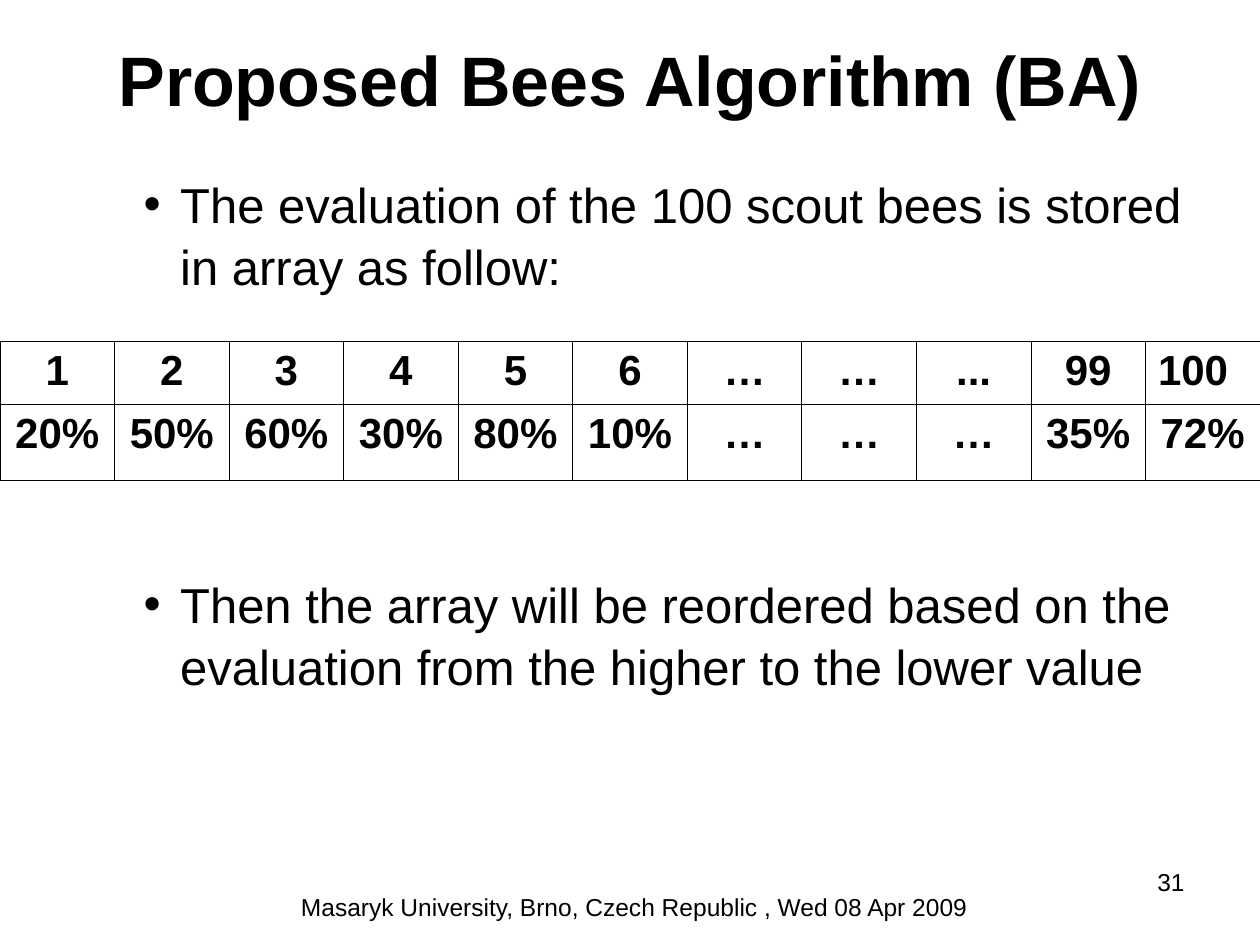
import pptx
import pptx.util
import pptx.dml.color
import pptx.enum.text
import pptx.oxml
import pptx.oxml.ns
from pptx.util import Inches, Pt

ALIGN = pptx.enum.text.PP_ALIGN
ANCHOR = pptx.enum.text.MSO_ANCHOR
NS = pptx.oxml.ns.nsdecls("a")


def color(value):
    return pptx.dml.color.RGBColor.from_string(value)


def style(p, size, align=ALIGN.LEFT, bold=False):
    p.alignment = align
    for r in p.runs:
        r.font.name = "Arial"
        r.font.size = Pt(size)
        r.font.bold = bold
        r.font.color.rgb = color("000000")


prs = pptx.Presentation()
prs.slide_width, prs.slide_height = Inches(10), Inches(7.5)
s = prs.slides.add_slide(prs.slide_layouts[1])

# Title
title = s.shapes.title
title.left, title.top, title.width, title.height = Inches(0), Inches(0), Inches(10), Inches(1.25)
tf = title.text_frame
tf.text = "Proposed Bees Algorithm (BA)"
tf.auto_size = pptx.enum.text.MSO_AUTO_SIZE.NONE
tf.vertical_anchor = ANCHOR.MIDDLE
style(tf.paragraphs[0], 40, ALIGN.CENTER, True)

# Bullets above and below the table
body = s.placeholders[1]
body.left, body.top, body.width, body.height = Inches(0.35), Inches(1.31), Inches(9.21), Inches(5.51)
tf = body.text_frame
tf.auto_size = pptx.enum.text.MSO_AUTO_SIZE.NONE
tf.vertical_anchor = ANCHOR.TOP
bullets = [
    ("The evaluation of the 100 scout bees is stored in array as follow:", 0),
    ("Then the array will be reordered based on the evaluation from the higher to the lower value", 155),
]
for i, (text, gap) in enumerate(bullets):
    p = tf.paragraphs[0] if i == 0 else tf.add_paragraph()
    p.text = text
    p.level = 1
    pPr = p._p.get_or_add_pPr()
    pPr.set("marL", str(Inches(0.98)))
    pPr.set("indent", str(Inches(-0.29)))
    for xml in ('<a:buClr %s><a:srgbClr val="000000"/></a:buClr>',
                '<a:buFont %s typeface="Arial"/>',
                '<a:buChar %s char="•"/>'):
        pPr.append(pptx.oxml.parse_xml(xml % NS))
    p.line_spacing = 1.05
    p.space_before, p.space_after = Pt(gap), Pt(3)
    style(p, 28)

# Table of scout bees and their evaluations
rows = [
    ["1", "2", "3", "4", "5", "6", "…", "…", "...", "99", "100"],
    ["20%", "50%", "60%", "30%", "80%", "10%", "…", "…", "…", "35%", "72%"],
]
heights = [0.5, 0.6]
columns = len(rows[0])
table = s.shapes.add_table(len(rows), columns, Inches(0), Inches(2.71),
                           Inches(10), Inches(sum(heights))).table
table.first_row = table.horz_banding = False
for column in table.columns:
    column.width = Inches(10 / columns)
for i, values in enumerate(rows):
    table.rows[i].height = Inches(heights[i])
    for j, value in enumerate(values):
        cell = table.cell(i, j)
        cell.text = value
        cell.fill.background()
        style(cell.text_frame.paragraphs[0], 24,
              ALIGN.LEFT if value == "100" else ALIGN.CENTER, True)
        tcPr = cell._tc.get_or_add_tcPr()
        for k, side in enumerate(("lnL", "lnR", "lnT", "lnB")):
            tcPr.insert(k, pptx.oxml.parse_xml(
                f'<a:{side} {NS} w="{Pt(0.45)}"><a:solidFill>'
                f'<a:srgbClr val="000000"/></a:solidFill></a:{side}>'))

# Footer and page number
for text, left, top, width, align in [
    ("Masaryk University, Brno, Czech Republic , Wed 08 Apr 2009", 2.16, 7.03, 5.75, ALIGN.CENTER),
    ("31", 7.17, 6.83, 2.33, ALIGN.RIGHT),
]:
    tf = s.shapes.add_textbox(Inches(left), Inches(top), Inches(width), Inches(0.52)).text_frame
    tf.word_wrap = True
    tf.text = text
    style(tf.paragraphs[0], 14, align)

prs.save("out.pptx")
